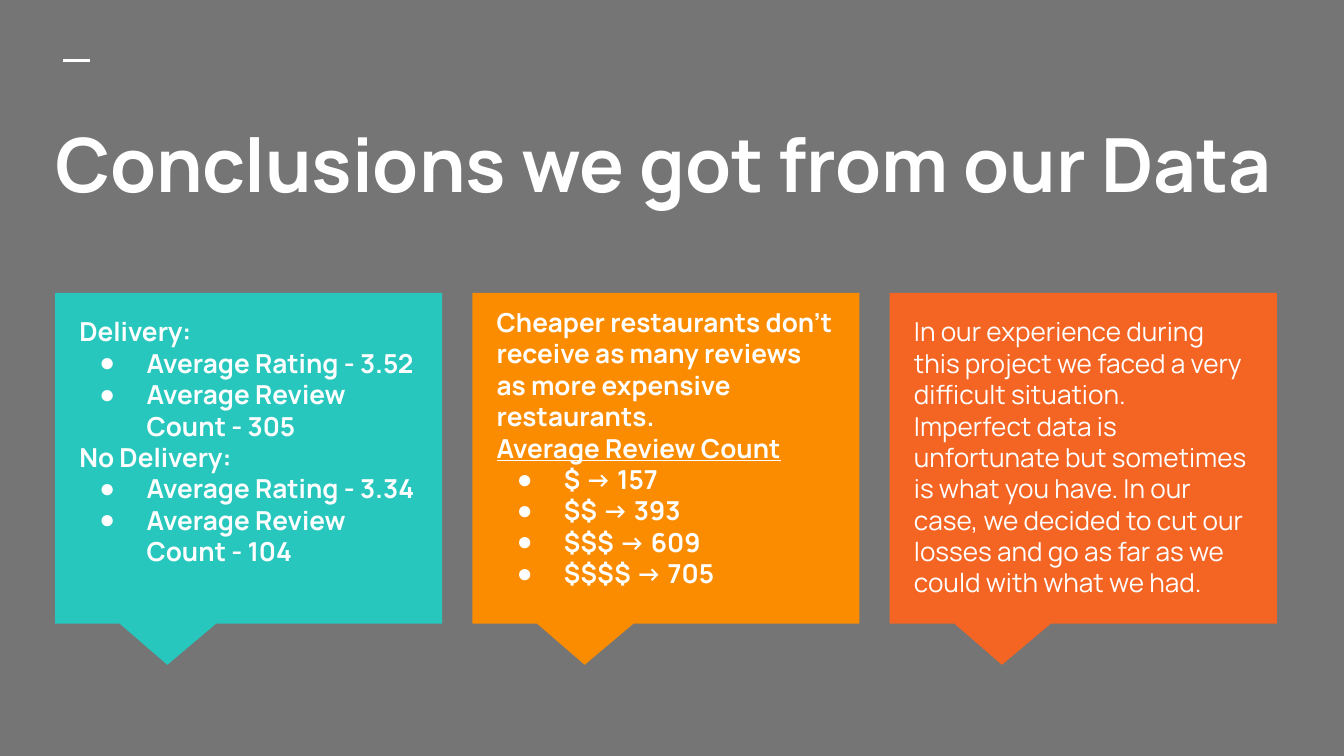
import dataclasses
import typing

import lxml.etree
import pptx
import pptx.dml.color
import pptx.enum.shapes
import pptx.enum.text
import pptx.oxml.ns
import pptx.util

RGB = pptx.dml.color.RGBColor
GREY = RGB(0x75, 0x75, 0x75)
WHITE = RGB(0xFF, 0xFF, 0xFF)
TEAL = RGB(0x27, 0xC7, 0xBD)
AMBER = RGB(0xFB, 0x8C, 0x00)
CORAL = RGB(0xF4, 0x65, 0x24)

FONT = "Manrope"
WIDE = 10
HIGH = WIDE * 9 / 16
LEFT, RIGHT, TOP = 0.41, 9.5, 2.18
CARD_W, CARD_H = 2.88, 2.46
STEP = (RIGHT - LEFT - CARD_W) / 2
PAD, BODY_W = 0.08, 2.71
inch = pptx.util.Inches


@dataclasses.dataclass(frozen=True)
class Line:
    text: str
    bullet: bool = False
    under: bool = False
    after: float = 0


@dataclasses.dataclass(frozen=True)
class Card:
    color: RGB
    lines: tuple[Line, ...]
    bold: bool = True
    top: float = 2.25
    high: float = 2.19


def stats(rating: str, count: int) -> tuple[Line, ...]:
    return (Line(f"Average Rating - {rating}", bullet=True),
            Line(f"Average Review Count - {count}", bullet=True))


CARDS = (
    Card(TEAL, (Line("Delivery:"), *stats("3.52", 305),
                Line("No Delivery:"), *stats("3.34", 104))),
    Card(AMBER, (
        Line("Cheaper restaurants don’t receive as many reviews "
             "as more expensive restaurants."),
        Line("Average Review Count", under=True),
        *(Line(f"{'$' * tier} -> {count}", bullet=True)
          for tier, count in enumerate((157, 393, 609, 705), 1)),
    ), top=TOP, high=2.28),
    Card(CORAL, (Line(
        "In our experience during this project we faced a very difficult "
        "situation.  Imperfect data is unfortunate but sometimes is what "
        "you have. In our case, we decided to cut our losses and go as far "
        "as we could with what we had.", after=12),), bold=False),
)


def mark(par: typing.Any, bullet: bool) -> None:
    """Set the indent and the bullet, or clear those of the layout."""
    props = par._p.get_or_add_pPr()
    props.set("marL", str(inch(0.5 if bullet else 0)))
    props.set("indent", str(inch(-0.35 if bullet else 0)))

    def add(parent: typing.Any, tag: str, **attrs: str) -> typing.Any:
        return lxml.etree.SubElement(parent, pptx.oxml.ns.qn(tag), attrs)

    if bullet:
        add(add(props, "a:buClr"), "a:srgbClr", val=str(WHITE))
        add(props, "a:buFont", typeface="Arial")
        add(props, "a:buChar", char="●")
    else:
        add(props, "a:buNone")


def write(par: typing.Any, text: str, *, size: float, bold: bool = False,
          under: bool = False, bullet: bool = False, after: float = 0) -> None:
    par.alignment = pptx.enum.text.PP_ALIGN.LEFT
    par.line_spacing = 1.0
    par.space_before = pptx.util.Pt(0)
    par.space_after = pptx.util.Pt(after)
    mark(par, bullet)
    run = par.add_run()
    run.text = text
    font = run.font
    font.name, font.size = FONT, pptx.util.Pt(size)
    font.bold, font.underline = bold, under
    font.color.rgb = WHITE


def place(holder: typing.Any, left: float, top: float,
          wide: float, high: float) -> typing.Any:
    """Move a placeholder and return its text frame, ready for text."""
    holder.left, holder.top = inch(left), inch(top)
    holder.width, holder.height = inch(wide), inch(high)
    frame = holder.text_frame
    frame.word_wrap = True
    frame.auto_size = pptx.enum.text.MSO_AUTO_SIZE.NONE
    frame.vertical_anchor = pptx.enum.text.MSO_ANCHOR.TOP
    frame.margin_left = frame.margin_right = inch(0.1)
    frame.margin_top = frame.margin_bottom = inch(0.1)
    return frame


def draw(slide: typing.Any, card: Card, col: int, holder: typing.Any) -> None:
    left = LEFT + col * STEP
    shape = slide.shapes.add_shape(
        pptx.enum.shapes.MSO_SHAPE.RECTANGULAR_CALLOUT,
        inch(left), inch(TOP), inch(CARD_W), inch(CARD_H))
    shape.adjustments[0], shape.adjustments[1] = -0.21, 5 / 8
    shape.shadow.inherit = False
    shape.fill.solid()
    shape.fill.fore_color.rgb = card.color
    shape.line.fill.background()

    frame = place(holder, left + PAD, card.top, BODY_W, card.high)
    for row, line in enumerate(card.lines):
        par = frame.add_paragraph() if row else frame.paragraphs[0]
        write(par, line.text, size=14, bold=card.bold, under=line.under,
              bullet=line.bullet, after=line.after)
    shape._element.addnext(holder._element)


def dash(slide: typing.Any) -> None:
    rule = slide.shapes.add_connector(
        pptx.enum.shapes.MSO_CONNECTOR.STRAIGHT,
        inch(0.47), inch(0.45), inch(0.67), inch(0.45))
    rule.line.color.rgb = WHITE
    rule.line.width = pptx.util.Pt(1.5)
    lxml.etree.SubElement(rule._element.spPr, pptx.oxml.ns.qn("a:effectLst"))


def main() -> None:
    deck = pptx.Presentation()
    deck.slide_width, deck.slide_height = inch(WIDE), inch(HIGH)
    slide = deck.slides.add_slide(deck.slide_layouts.get_by_name("Comparison"))
    slide.background.fill.solid()
    slide.background.fill.fore_color.rgb = GREY

    title, *bodies, spare = slide.placeholders
    spare._element.getparent().remove(spare._element)
    dash(slide)
    frame = place(title, 0.31, 0.78, 9.43, 1.12)
    write(frame.paragraphs[0], "Conclusions we got from our Data",
          size=40, bold=True)
    for col, (card, body) in enumerate(zip(CARDS, bodies)):
        draw(slide, card, col, body)
    deck.save("out.pptx")


if __name__ == "__main__":
    main()
